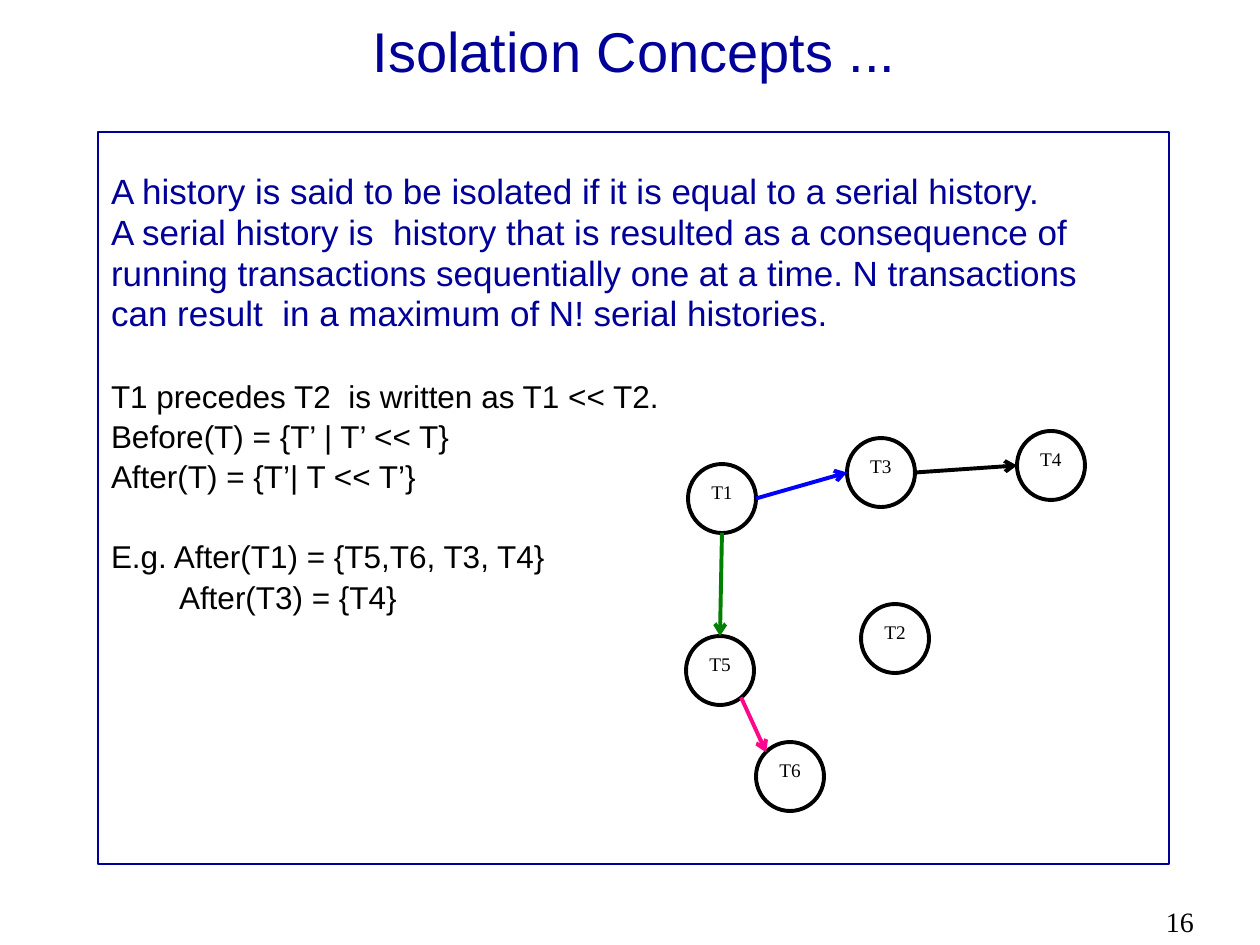
from lxml import etree
from pptx import Presentation
from pptx.dml.color import RGBColor
from pptx.enum.shapes import MSO_CONNECTOR, MSO_SHAPE
from pptx.enum.text import MSO_ANCHOR, MSO_AUTO_SIZE, PP_ALIGN
from pptx.oxml.ns import qn
from pptx.util import Emu, Pt

LINE, OVAL = MSO_CONNECTOR.STRAIGHT, MSO_SHAPE.OVAL
TOP, MIDDLE = MSO_ANCHOR.TOP, MSO_ANCHOR.MIDDLE
LEFT, CENTER = PP_ALIGN.LEFT, PP_ALIGN.CENTER
FIXED = MSO_AUTO_SIZE.NONE

NAVY, BLACK, BLUE, GREEN, PINK = "000099", "000000", "0000FF", "008000", "FF068B"
SANS, SERIF = "Arial", "Times New Roman"
PITCH = 18.4  # line height in points

TITLE = "Isolation Concepts ..."
NUMBER = "16"
# text, size, colour, space before in points, indent in px
BODY = [
    ("A history is said to be isolated if it is equal to a serial history.", 20, NAVY, 0, 0),
    ("A serial history is  history that is resulted as a consequence of", 20, NAVY, 5, 0),
    ("running transactions sequentially one at a time. N transactions", 20, NAVY, 5, 0),
    ("can result  in a maximum of N! serial histories.", 20, NAVY, 5, 0),
    ("T1 precedes T2  is written as T1 << T2.", 18, BLACK, 27.9, 0),
    ("Before(T) = {T’ | T’ << T}", 18, BLACK, 4.5, 0),
    ("After(T) = {T’| T << T’}", 18, BLACK, 4.5, 0),
    ("E.g. After(T1) = {T5,T6, T3, T4}", 18, BLACK, 27.4, 0),
    ("After(T3) = {T4}", 18, BLACK, 4.5, 68),
]
WIDE, HIGH = 68, 69
NODES = {"T1": (688, 464), "T3": (847, 438), "T4": (1017, 431),
         "T5": (686, 636), "T6": (756, 742), "T2": (861, 604)}
# where a line meets a node, as shares of its width and height
SITES = {"top": (0.5, 0), "left": (0, 0.5), "bottom": (0.5, 1),
         "right": (1, 0.5), "upper": (0.15, 0.15), "lower": (0.81, 0.89)}
EDGES = [("T1", "right", "T3", "left", BLUE), ("T3", "right", "T4", "left", BLACK),
         ("T1", "bottom", "T5", "top", GREEN), ("T5", "lower", "T6", "upper", PINK)]


def px(n):
    return Emu(round(n * 914400 / 126))


def color(code):
    return RGBColor.from_string(code)


def place(shape, *box):
    shape.left, shape.top, shape.width, shape.height = map(px, box)


def frame(shape, side, top, anchor):
    text = shape.text_frame
    text.word_wrap = True
    text.auto_size = FIXED
    text.vertical_anchor = anchor
    text.margin_left = text.margin_right = px(side)
    text.margin_top, text.margin_bottom = px(top), px(6)
    return text


def style(para, size, face, code, align):
    para.alignment = align
    for run in para.runs:
        run.font.size, run.font.name = Pt(size), face
        run.font.color.rgb = color(code)


def stroke(line, code, width):
    line.color.rgb, line.width = color(code), Pt(width)


def point(node, site):
    (x, y), (across, down) = NODES[node], SITES[site]
    return px(x + WIDE * across), px(y + HIGH * down)


deck = Presentation()
deck.slide_width, deck.slide_height = px(1260), px(945)
slide = deck.slides.add_slide(deck.slide_layouts[1])
shapes = slide.shapes

page = shapes.add_textbox(px(1153), px(898), px(107), px(47))
text = frame(page, 13, 6, TOP)
text.text = NUMBER
style(text.paragraphs[0], 16, SERIF, BLACK, LEFT)

title = shapes.title
place(title, 99, 24, 1071, 87)
text = frame(title, 13, 6, MIDDLE)
text.text = TITLE
text.paragraphs[0].line_spacing = Pt(PITCH)
style(text.paragraphs[0], 32, SANS, NAVY, CENTER)

body = slide.placeholders[1]
place(body, 98, 132, 1071, 732)
stroke(body.line, NAVY, 0.75)
text = frame(body, 13, 47, TOP)
text.text = "\n".join(row[0] for row in BODY)
for para, (_, size, code, gap, indent) in zip(text.paragraphs, BODY):
    props = para._p.get_or_add_pPr()
    props.set("marL", str(px(indent)))
    props.set("indent", "0")
    etree.SubElement(props, qn("a:buNone"))
    para.line_spacing, para.space_before = Pt(PITCH), Pt(gap)
    style(para, size, SANS, code, LEFT)

for name, (x, y) in NODES.items():
    node = shapes.add_shape(OVAL, px(x), px(y), px(WIDE), px(HIGH))
    node.shadow.inherit = False
    node.fill.background()
    stroke(node.line, BLACK, 2.25)
    text = frame(node, 0, 6, TOP)
    text.text = name
    style(text.paragraphs[0], 11, SERIF, BLACK, CENTER)

for start, out, end, into, code in EDGES:
    edge = shapes.add_connector(LINE, *point(start, out), *point(end, into))
    stroke(edge.line, code, 2.25)
    etree.SubElement(edge.line._get_or_add_ln(), qn("a:tailEnd"), type="arrow")
    etree.SubElement(edge._element.spPr, qn("a:effectLst"))

deck.save("out.pptx")
